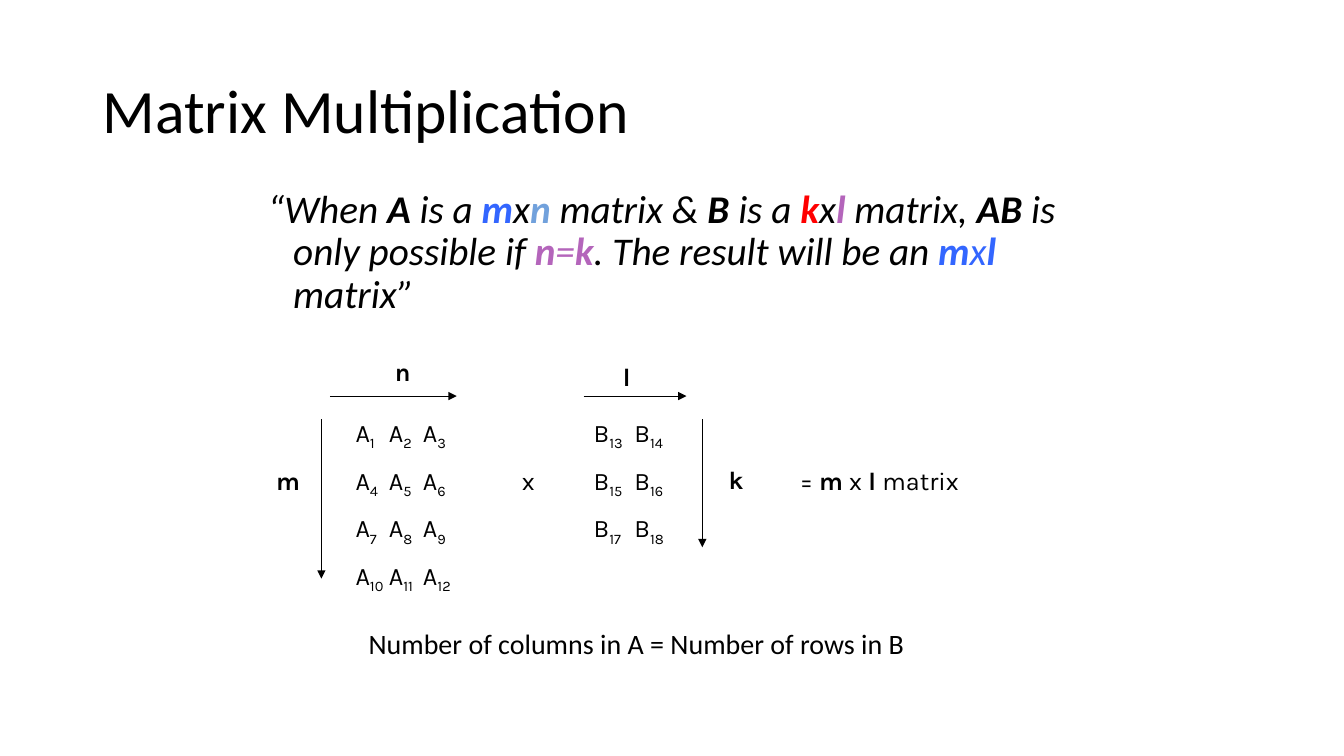
from dataclasses import dataclass

from lxml.etree import SubElement
from pptx import Presentation
from pptx.dml.color import RGBColor
from pptx.enum.shapes import MSO_CONNECTOR
from pptx.enum.text import MSO_ANCHOR
from pptx.oxml.ns import qn
from pptx.util import Cm, Pt


@dataclass(frozen=True)
class Theme:
    black: str = "000000"
    blue: str = "3366FF"
    sky: str = "71A1DC"
    red: str = "FF0000"
    purple: str = "B465BB"
    text_font: str = "Calibri"
    math_font: str = "Karla"
    title_size: int = 44
    rule_size: int = 28
    caption_size: int = 20
    math_size: int = 18
    line_width: float = 0.75
    row_gap: float = 9.5


THEME = Theme()

RULE = [
    ("“When ", THEME.black, False),
    ("A", THEME.black, True),
    (" is a ", THEME.black, False),
    ("m", THEME.blue, True),
    ("x", THEME.black, False),
    ("n ", THEME.sky, True),
    ("matrix & ", THEME.black, False),
    ("B ", THEME.black, True),
    ("is a ", THEME.black, False),
    ("k", THEME.red, True),
    ("x", THEME.black, False),
    ("l", THEME.purple, True),
    (" matrix, ", THEME.black, False),
    ("AB", THEME.black, True),
    (" is only possible if ", THEME.black, False),
    ("n", THEME.purple, True),
    ("=", THEME.purple, False),
    ("k", THEME.purple, True),
    (". The result will be an ", THEME.black, False),
    ("m", THEME.blue, True),
    ("x", THEME.blue, False),
    ("l ", THEME.blue, True),
    ("matrix”", THEME.black, False),
]


def add_run(p, text, size, font, color=THEME.black, bold=False, italic=False):
    r = p.add_run()
    r.text = text
    r.font.size = Pt(size)
    r.font.name = font
    r.font.bold = bold
    r.font.italic = italic
    r.font.color.rgb = RGBColor.from_string(color)
    return r


def add_box(s, left, top, width, height):
    sp = s.shapes.add_textbox(Cm(left), Cm(top), Cm(width), Cm(height))
    tf = sp.text_frame
    tf.word_wrap = True
    return tf


def add_title(s, text):
    tf = add_box(s, 2.34, 1.02, 29.21, 3.68)
    tf.vertical_anchor = MSO_ANCHOR.MIDDLE
    p = tf.paragraphs[0]
    p.line_spacing = 0.9
    add_run(p, text, THEME.title_size, THEME.text_font)


def add_rule(s, runs):
    p = add_box(s, 6.5, 4.65, 20.96, 5.23).paragraphs[0]
    p.line_spacing = 0.9
    pPr = p._p.get_or_add_pPr()
    pPr.set("marL", str(Cm(0.64)))
    pPr.set("indent", str(-Cm(0.64)))
    for text, color, bold in runs:
        add_run(p, text, THEME.rule_size, THEME.text_font, color, bold, True)


def add_tabs(p, stops):
    tabs = SubElement(p._p.get_or_add_pPr(), qn("a:tabLst"))
    for stop in stops:
        SubElement(tabs, qn("a:tab"), pos=str(Cm(stop)), algn="l")


def add_matrix(s, name, first, rows, stops, left, width):
    tf = add_box(s, left, 10.39, width, 4.47)
    cols = len(stops) + 1
    for row in range(rows):
        p = tf.add_paragraph() if row else tf.paragraphs[0]
        add_tabs(p, stops)
        if row:
            p.space_before = Pt(THEME.row_gap)
        for col in range(cols):
            letter = f"\t{name}" if col else name
            add_run(p, letter, THEME.math_size, THEME.math_font)
            index = str(first + row * cols + col)
            r = add_run(p, index, THEME.math_size, THEME.math_font)
            r._r.get_or_add_rPr().set("baseline", "-25000")


def add_label(s, left, top, width, *runs):
    p = add_box(s, left, top, width, 1.02).paragraphs[0]
    for text, bold in runs:
        add_run(p, text, THEME.math_size, THEME.math_font, bold=bold)


def add_arrow(s, x1, y1, x2, y2):
    line = s.shapes.add_connector(
        MSO_CONNECTOR.STRAIGHT, Cm(x1), Cm(y1), Cm(x2), Cm(y2))
    line.line.color.rgb = RGBColor.from_string(THEME.black)
    line.line.width = Pt(THEME.line_width)
    SubElement(line.line._get_or_add_ln(), qn("a:tailEnd"), type="triangle")
    SubElement(line._element.spPr, qn("a:effectLst"))


def add_caption(s, text):
    p = add_box(s, 9.04, 15.67, 18.9, 1.12).paragraphs[0]
    add_run(p, text, THEME.caption_size, THEME.text_font)


def main():
    prs = Presentation()
    prs.slide_width = Cm(33.87)
    prs.slide_height = Cm(19.05)
    s = prs.slides.add_slide(prs.slide_layouts[6])

    add_title(s, "Matrix Multiplication")
    add_rule(s, RULE)

    add_matrix(s, "A", 1, 4, (0.84, 1.7), 8.71, 3.61)
    add_arrow(s, 8.1, 10.57, 8.1, 14.58)
    add_arrow(s, 8.31, 9.98, 11.51, 9.98)
    add_label(s, 6.71, 11.61, 1.19, ("m", True))
    add_label(s, 9.7, 8.86, 1.4, ("n", True))

    add_label(s, 12.9, 11.61, 1.19, ("x", False))

    add_matrix(s, "B", 13, 3, (1.03,), 14.71, 5)
    add_arrow(s, 14.71, 9.98, 17.3, 9.98)
    add_arrow(s, 17.7, 10.57, 17.7, 13.79)
    add_label(s, 15.45, 8.97, 1.19, ("l", True))
    add_label(s, 18.11, 11.58, 1.4, ("k", True))

    add_label(s, 19.91, 11.61, 6.78, ("= ", False), ("m", True),
              (" x", False), (" l ", True), ("matrix", False))
    add_caption(s, "Number of columns in A = Number of rows in B")

    prs.save("out.pptx")


if __name__ == "__main__":
    main()
